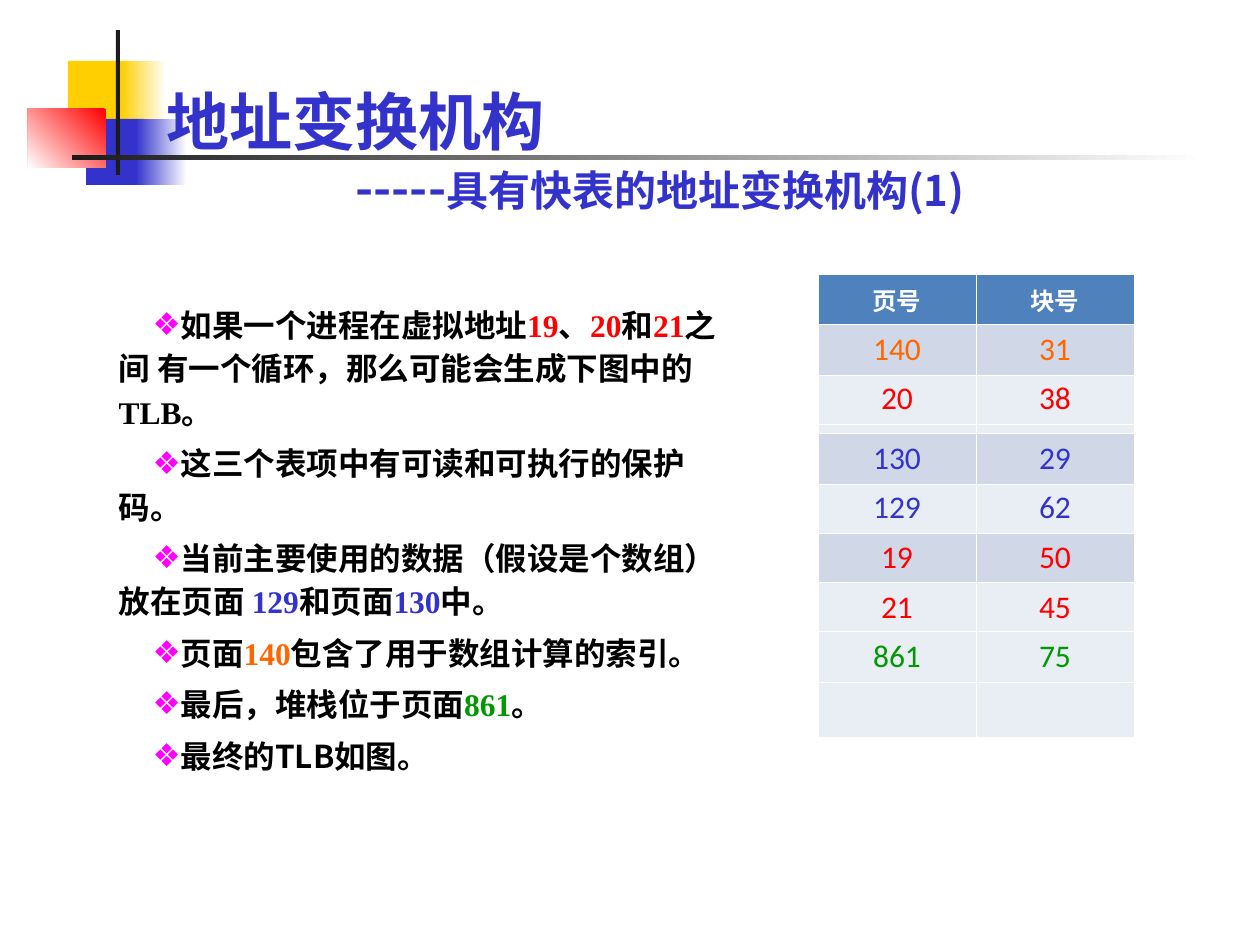
from lxml import etree
from pptx import Presentation
from pptx.dml.color import RGBColor
from pptx.enum.shapes import MSO_SHAPE
from pptx.enum.text import MSO_ANCHOR, MSO_AUTO_SIZE, PP_ALIGN
from pptx.oxml.ns import qn
from pptx.util import Pt

SCALE = 914400 / 126
RECT = MSO_SHAPE.RECTANGLE
LEFT, CENTER = PP_ALIGN.LEFT, PP_ALIGN.CENTER
TOP, MIDDLE, BOTTOM = MSO_ANCHOR.TOP, MSO_ANCHOR.MIDDLE, MSO_ANCHOR.BOTTOM
FIXED = MSO_AUTO_SIZE.NONE

HAN, ROMAN, SANS = "Noto Sans CJK SC", "Times New Roman", "Calibri"
WHITE, BLACK, INK = "FFFFFF", "000000", "1C1C1C"
RED, BLUE, ORANGE, GREEN = "FF0000", "3333CC", "FF6600", "009900"
GOLD, PINK = "FFCF01", "FF00FF"
HEAD, DARK, PALE = "4F81BD", "D0D8E8", "E9EDF4"

# box, start colour, end colour (None for a plain fill), angle
DECOR = [
    ((68, 61, 60, 66), GOLD, None, 0),
    ((121, 61, 45, 66), WHITE, GOLD, 180),
    ((86, 119, 58, 66), BLUE, None, 0),
    ((136, 119, 51, 66), WHITE, BLUE, 180),
    ((28, 109, 78, 59), RED, WHITE, 225),
    ((116, 30, 4, 145), INK, None, 0),
    ((72, 155, 1134, 5), WHITE, INK, 180),
]
TITLE = [
    [("地址变换机构", 36)],
    [("-----", 28), ("具有快表的地址变换机构(1)", 24)],
]
# Plain strings are body text; pairs are coloured numbers and terms
POINTS = [
    ["如果一个进程在虚拟地址", ("19", RED), "、", ("20", RED), "和", ("21", RED),
     "之间 有一个循环，那么可能会生成下图中的", ("TLB", BLACK), "。"],
    ["这三个表项中有可读和可执行的保护码。"],
    ["当前主要使用的数据（假设是个数组）放在页面 ", ("129", BLUE), "和页面",
     ("130", BLUE), "中。"],
    ["页面", ("140", ORANGE), "包含了用于数组计算的索引。"],
    ["最后，堆栈位于页面", ("861", GREEN), "。"],
    ["最终的TLB如图。"],
]
BASE = [HEAD, DARK, PALE, PALE, DARK, PALE, DARK, PALE]
# top, page, block, text colour, fill
ENTRIES = [
    (532, "19", "50", RED, DARK),
    (373, "20", "38", RED, PALE),
    (582, "21", "45", RED, PALE),
    (482, "129", "62", BLUE, PALE),
    (433, "130", "29", BLUE, DARK),
    (324, "140", "31", ORANGE, DARK),
    (631, "861", "75", GREEN, PALE),
]
TABLE_X, COL_W, ROW_H = 818, 158, 51


def px(n):
    return round(n * SCALE)


def rgb(code):
    return RGBColor.from_string(code)


def style(item, **values):
    for name, value in values.items():
        setattr(item, name, value)


def place(shape, box):
    style(shape, **dict(zip(("left", "top", "width", "height"), map(px, box))))


def add_run(para, text, size, face, color, bold=True):
    run = para.add_run()
    run.text = text
    style(run.font, size=Pt(size), name=face, bold=bold)
    run.font.color.rgb = rgb(color)
    east = etree.SubElement(run.font._element, qn("a:ea"))
    east.set("typeface", HAN)


def add_block(slide, box, start, end, angle):
    shape = slide.shapes.add_shape(RECT, *map(px, box))
    shape.shadow.inherit = False
    shape.line.fill.background()
    if end is None:
        shape.fill.solid()
        shape.fill.fore_color.rgb = rgb(start)
        return
    shape.fill.gradient()
    shape.fill.gradient_angle = angle
    for stop, color, spot in zip(shape.fill.gradient_stops, (start, end), (0, 1)):
        stop.color.rgb = rgb(color)
        stop.position = spot


def open_frame(shape, box, anchor):
    """Move a placeholder to the front and ready its text frame."""
    place(shape, box)
    tree = shape._element.getparent()
    tree.append(shape._element)
    frame = shape.text_frame
    style(frame, word_wrap=True, auto_size=FIXED, vertical_anchor=anchor)
    return frame


def next_para(frame, index):
    return frame.paragraphs[0] if index == 0 else frame.add_paragraph()


def indent(para, margin, first):
    props = para._p.get_or_add_pPr()
    props.set("marL", str(px(margin)))
    props.set("indent", str(px(first)))
    props.set("hangingPunct", "0")
    return props


def add_bullet(para):
    props = indent(para, 1, 34)
    tint = etree.SubElement(props, qn("a:buClr"))
    etree.SubElement(tint, qn("a:srgbClr")).set("val", PINK)
    etree.SubElement(props, qn("a:buChar")).set("char", "❖")


def fill_title(shape):
    frame = open_frame(shape, (154, 66, 1074, 157), BOTTOM)
    for i, parts in enumerate(TITLE):
        para = next_para(frame, i)
        para.alignment = LEFT
        indent(para, 189 * i, 0)
        for text, size in parts:
            add_run(para, text, size, HAN, BLUE)


def fill_body(shape):
    frame = open_frame(shape, (105, 294, 635, 515), TOP)
    for i, parts in enumerate(POINTS):
        para = next_para(frame, i)
        add_bullet(para)
        style(para, alignment=LEFT, line_spacing=1.15,
              space_before=Pt(4.5 if i else 0))
        for part in parts:
            if isinstance(part, str):
                add_run(para, part, 18, HAN, BLACK)
            else:
                add_run(para, part[0], 18, ROMAN, part[1])


def add_edges(cell, bottom):
    props = cell._tc.get_or_add_tcPr()
    sides = {"lnL": 0.45, "lnR": 0.45, "lnT": 0.45, "lnB": bottom}
    for i, (side, width) in enumerate(sides.items()):
        edge = etree.Element(qn("a:" + side), w=str(Pt(width)))
        paint = etree.SubElement(edge, qn("a:solidFill"))
        etree.SubElement(paint, qn("a:srgbClr")).set("val", WHITE)
        props.insert(i, edge)


def paint_cell(cell, color, bottom=0.45):
    cell.fill.solid()
    cell.fill.fore_color.rgb = rgb(color)
    cell.vertical_anchor = MIDDLE
    add_edges(cell, bottom)


def write_cell(cell, text, *look):
    para = cell.text_frame.paragraphs[0]
    para.alignment = CENTER
    add_run(para, text, *look)


def add_grid(slide, top, heights):
    box = (TABLE_X, top, 2 * COL_W, sum(heights))
    table = slide.shapes.add_table(len(heights), 2, *map(px, box)).table
    style(table, first_row=False, horz_banding=False)
    for row, height in zip(table.rows, heights):
        row.height = px(height)
    return table


def add_base(slide):
    table = add_grid(slide, 274, [51] + [59] * 7)
    for r, color in enumerate(BASE):
        for c in range(2):
            paint_cell(table.cell(r, c), color, 0.45 if r else 1.47)
    for c, text in enumerate(("页号", "块号")):
        write_cell(table.cell(0, c), text, 14, HAN, WHITE)


def add_entry(slide, top, page, block, color, back):
    table = add_grid(slide, top, [ROW_H])
    for c, text in enumerate((page, block)):
        paint_cell(table.cell(0, c), back)
        write_cell(table.cell(0, c), text, 18, SANS, color, False)


def main():
    deck = Presentation()
    style(deck, slide_width=px(1260), slide_height=px(945))
    slide = deck.slides.add_slide(deck.slide_layouts[1])
    for item in DECOR:
        add_block(slide, *item)
    fill_title(slide.shapes.title)
    fill_body(slide.placeholders[1])
    add_base(slide)
    for entry in ENTRIES:
        add_entry(slide, *entry)
    deck.save("out.pptx")


if __name__ == "__main__":
    main()
